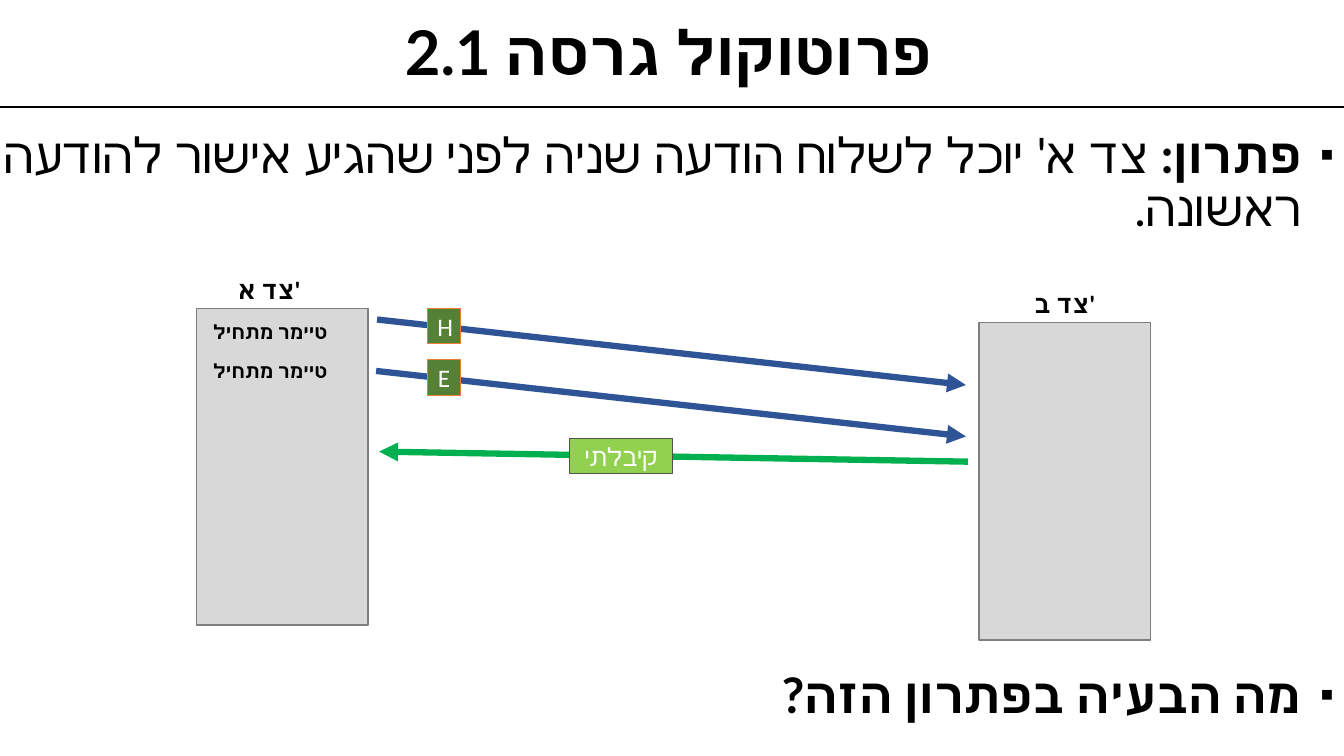
from typing import NamedTuple

from lxml import etree
from pptx import Presentation
from pptx.dml.color import RGBColor
from pptx.enum.shapes import MSO_CONNECTOR, MSO_SHAPE
from pptx.enum.text import MSO_ANCHOR, MSO_AUTO_SIZE, PP_ALIGN
from pptx.oxml.ns import qn
from pptx.util import Pt

CENTER, RIGHT = PP_ALIGN.CENTER, PP_ALIGN.RIGHT
TOP, MIDDLE = MSO_ANCHOR.TOP, MSO_ANCHOR.MIDDLE
NO_FIT = MSO_AUTO_SIZE.NONE
RECT, LINE = MSO_SHAPE.RECTANGLE, MSO_CONNECTOR.STRAIGHT
SCALE = 9144
INDENT = 32
COLORS = {
    "black": "000000",
    "white": "FFFFFF",
    "blue": "2F5496",
    "green": "00B050",
    "lime": "92D050",
    "dark": "525252",
    "side": "D8D8D8",
    "edge": "7F7F7F",
    "tag": "548135",
    "orange": "ED7D31",
}


class Box(NamedTuple):
    left: int
    top: int
    width: int
    height: int
    text: str = ""
    fill: str = ""
    edge: str = ""
    weight: float = 0.75
    size: int = 18
    color: str = "black"
    bold: bool = True


class Arrow(NamedTuple):
    x1: int
    y1: int
    x2: int
    y2: int
    color: str
    weight: float = 4.5
    head: bool = True


def px(value: int) -> int:
    return value * SCALE


def rgb(name: str) -> RGBColor:
    return RGBColor.from_string(COLORS[name])


def write(para, text: str, *, size: int, font: str = "Calibri",
          color: str = "black", bold: bool = False) -> None:
    run = para.add_run()
    run.text = text
    run.font.size = Pt(size)
    run.font.name = font
    run.font.bold = bold
    run.font.color.rgb = rgb(color)
    props = run.font._element
    etree.SubElement(props, qn("a:cs"), typeface=font)


def frame(shape, anchor=MIDDLE):
    area = shape.text_frame
    area.word_wrap = True
    area.auto_size = NO_FIT
    area.vertical_anchor = anchor
    return area


def flow(para, align) -> None:
    para.alignment = align
    para.line_spacing = 0.9
    para._p.get_or_add_pPr().set("rtl", "1")


def bullet(para) -> None:
    props = para._p.get_or_add_pPr()
    props.set("marL", str(px(INDENT)))
    props.set("indent", str(-px(INDENT)))
    tint = etree.SubElement(props, qn("a:buClr"))
    etree.SubElement(tint, qn("a:srgbClr"), val=COLORS["black"])
    etree.SubElement(props, qn("a:buSzPct"), val="80000")
    etree.SubElement(props, qn("a:buFont"), typeface="Arial")
    etree.SubElement(props, qn("a:buChar"), char="▪")
    flow(para, RIGHT)


def draw_box(shapes, box: Box) -> None:
    place = [px(n) for n in box[:4]]
    if box.fill:
        shape = shapes.add_shape(RECT, *place)
        shape.shadow.inherit = False
        shape.fill.solid()
        shape.fill.fore_color.rgb = rgb(box.fill)
        if box.edge:
            shape.line.color.rgb = rgb(box.edge)
            shape.line.width = Pt(box.weight)
        else:
            shape.line.fill.background()
    else:
        shape = shapes.add_textbox(*place)
    if box.text:
        para = frame(shape).paragraphs[0]
        para.alignment = CENTER
        write(para, box.text, size=box.size, color=box.color, bold=box.bold)


def draw_arrow(shapes, arrow: Arrow) -> None:
    link = shapes.add_connector(LINE, *[px(n) for n in arrow[:4]])
    link.line.color.rgb = rgb(arrow.color)
    link.line.width = Pt(arrow.weight)
    props = link.element.spPr
    if arrow.head:
        etree.SubElement(props.find(qn("a:ln")), qn("a:tailEnd"), type="triangle")
    etree.SubElement(props, qn("a:effectLst"))


def draw_title(shapes) -> None:
    title = shapes.title
    title.left, title.top, title.width, title.height = px(0), px(4), px(1326), px(102)
    para = frame(title).paragraphs[0]
    flow(para, CENTER)
    write(para, "פרוטוקול גרסה 2.1", size=44, font="Lato", bold=True)


def draw_body(shapes) -> None:
    body = shapes.add_textbox(px(-14), px(125), px(1347), px(610))
    area = frame(body, TOP)
    first = area.paragraphs[0]
    bullet(first)
    write(first, "פתרון: ", size=35, font="Lato", bold=True)
    write(first, "צד א' יוכל לשלוח הודעה שניה לפני שהגיע אישור להודעה ראשונה.",
          size=35, font="Lato")
    last = area.add_paragraph()
    bullet(last)
    last.space_before = Pt(310)
    write(last, "מה הבעיה בפתרון הזה?", size=35, font="Lato", bold=True)


RULE = Arrow(0, 106, 1333, 106, "black", 1, False)
SIDES = [
    Box(189, 269, 156, 37, "צד א'", "white"),
    Box(978, 283, 156, 37, "צד ב'", "white"),
    Box(195, 306, 170, 314, fill="side", edge="edge", weight=1),
    Box(971, 320, 170, 315, fill="side", edge="edge", weight=1),
]
TIMERS = [Box(190, top, 156, 37, "טיימר מתחיל", size=14) for top in (311, 349)]
ARROWS = [
    Arrow(374, 317, 958, 382, "blue"),
    Arrow(373, 368, 958, 433, "blue"),
    Arrow(960, 458, 376, 448, "green"),
]
TAGS = [
    Box(424, top, 33, 35, text, "tag", "orange", color="white", bold=False)
    for text, top in (("H", 306), ("E", 357))
]
REPLY = Box(565, 435, 102, 35, "קיבלתי", "lime", "dark", color="white", bold=False)


def main() -> None:
    deck = Presentation()
    deck.slide_width, deck.slide_height = px(1333), px(750)
    shapes = deck.slides.add_slide(deck.slide_layouts[5]).shapes
    draw_arrow(shapes, RULE)
    draw_title(shapes)
    draw_body(shapes)
    for box in SIDES + TIMERS:
        draw_box(shapes, box)
    for arrow in ARROWS:
        draw_arrow(shapes, arrow)
    for box in TAGS + [REPLY]:
        draw_box(shapes, box)
    deck.save("out.pptx")


if __name__ == "__main__":
    main()
